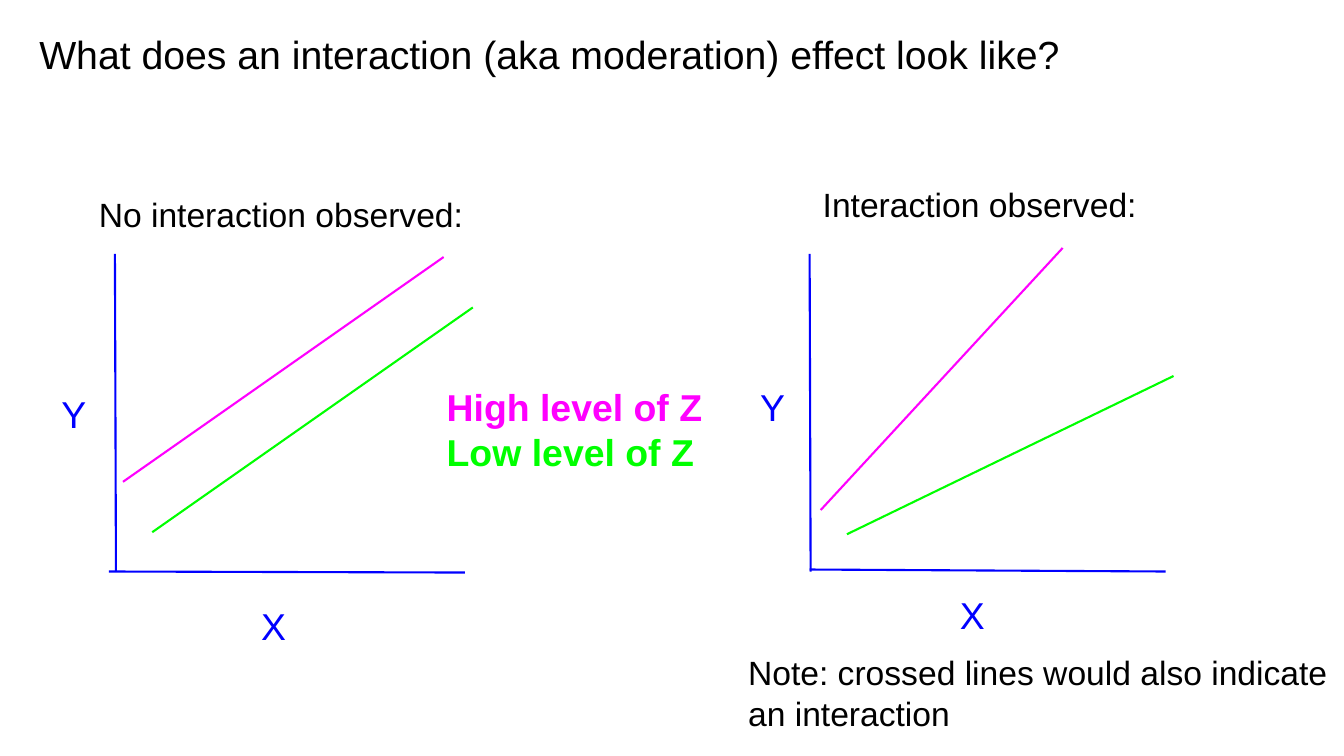
from dataclasses import dataclass

import pptx
import pptx.dml.color
import pptx.enum.shapes
import pptx.enum.text
import pptx.oxml.ns
import pptx.slide
import pptx.util
from lxml import etree

Inches = pptx.util.Inches
Pt = pptx.util.Pt
RGBColor = pptx.dml.color.RGBColor

BLACK = RGBColor(0x00, 0x00, 0x00)
AXIS_BLUE = RGBColor(0x00, 0x00, 0xFF)
HIGH_MAGENTA = RGBColor(0xFF, 0x00, 0xFF)
LOW_GREEN = RGBColor(0x00, 0xFF, 0x00)

FONT_NAME = "Arial"
TITLE_SIZE = 28
BODY_SIZE = 24
LABEL_SIZE = 26.7
TEXT_INSET = 0.13
LINE_WIDTH = 1.5


@dataclass(frozen=True)
class Line:
    """A straight line in one colour, with its ends in inches."""
    start: tuple[float, float]
    end: tuple[float, float]
    color: RGBColor


@dataclass(frozen=True)
class Label:
    """A text box in inches, with one (text, colour) pair per paragraph."""
    box: tuple[float, float, float, float]
    paragraphs: tuple[tuple[str, RGBColor], ...]
    size: float = LABEL_SIZE
    bold: bool = False


LINES = [
    # No interaction: parallel lines
    Line((1.14, 2.52), (1.15, 5.67), AXIS_BLUE),
    Line((1.08, 5.67), (4.61, 5.68), AXIS_BLUE),
    Line((1.22, 4.78), (4.40, 2.55), HIGH_MAGENTA),
    Line((1.51, 5.28), (4.69, 3.05), LOW_GREEN),
    # Interaction: lines with different slopes
    Line((8.03, 5.65), (11.56, 5.67), AXIS_BLUE),
    Line((8.03, 2.52), (8.04, 5.67), AXIS_BLUE),
    Line((8.40, 5.30), (11.64, 3.73), LOW_GREEN),
    Line((8.14, 5.06), (10.54, 2.46), HIGH_MAGENTA),
]

LABELS = [
    Label((0.26, 0.17, 12.42, 0.84),
          (("What does an interaction (aka moderation) effect look like?", BLACK),),
          TITLE_SIZE),
    Label((0.85, 1.79, 4.37, 0.69), (("No interaction observed:", BLACK),), BODY_SIZE),
    Label((8.03, 1.69, 7.11, 0.83), (("Interaction observed:", BLACK),), BODY_SIZE),
    Label((0.48, 3.75, 7.11, 0.83), (("Y", AXIS_BLUE),)),
    Label((9.39, 5.74, 2.26, 0.83), (("X", AXIS_BLUE),)),
    Label((2.46, 5.85, 0.70, 0.83), (("X", AXIS_BLUE),)),
    Label((7.41, 3.68, 7.11, 0.83), (("Y", AXIS_BLUE),)),
    Label((4.30, 3.68, 7.11, 0.83),
          (("High level of Z", HIGH_MAGENTA), ("Low level of Z", LOW_GREEN)),
          bold=True),
    Label((7.29, 6.34, 6.05, 0.83),
          (("Note: crossed lines would also indicate an interaction", BLACK),),
          BODY_SIZE),
]


def set_attributes(target: object, values: dict[str, object]) -> None:
    for name, value in values.items():
        setattr(target, name, value)


def draw_line(slide: pptx.slide.Slide, line: Line) -> None:
    ends = [Inches(value) for value in (*line.start, *line.end)]
    connector = slide.shapes.add_connector(
        pptx.enum.shapes.MSO_CONNECTOR.STRAIGHT, *ends)
    connector.line.color.rgb = line.color
    connector.line.width = Pt(LINE_WIDTH)
    # An empty effect list turns off the theme shadow
    properties = connector.element.find(pptx.oxml.ns.qn("p:spPr"))
    etree.SubElement(properties, pptx.oxml.ns.qn("a:effectLst"))


def draw_label(slide: pptx.slide.Slide, label: Label) -> None:
    shape = slide.shapes.add_textbox(*[Inches(value) for value in label.box])
    text_frame = shape.text_frame
    inset = Inches(TEXT_INSET)
    set_attributes(text_frame, {
        "word_wrap": True,
        "vertical_anchor": pptx.enum.text.MSO_ANCHOR.TOP,
        "margin_left": inset,
        "margin_top": inset,
        "margin_right": inset,
        "margin_bottom": inset,
    })
    for index, (text, color) in enumerate(label.paragraphs):
        paragraph = text_frame.add_paragraph() if index else text_frame.paragraphs[0]
        run = paragraph.add_run()
        run.text = text
        set_attributes(run.font, {
            "name": FONT_NAME,
            "size": Pt(label.size),
            "bold": label.bold,
        })
        run.font.color.rgb = color


def main() -> None:
    presentation = pptx.Presentation()
    presentation.slide_width = Inches(13.33)
    presentation.slide_height = Inches(7.5)
    slide = presentation.slides.add_slide(presentation.slide_layouts[6])
    for line in LINES:
        draw_line(slide, line)
    for label in LABELS:
        draw_label(slide, label)
    presentation.save("out.pptx")


if __name__ == "__main__":
    main()
